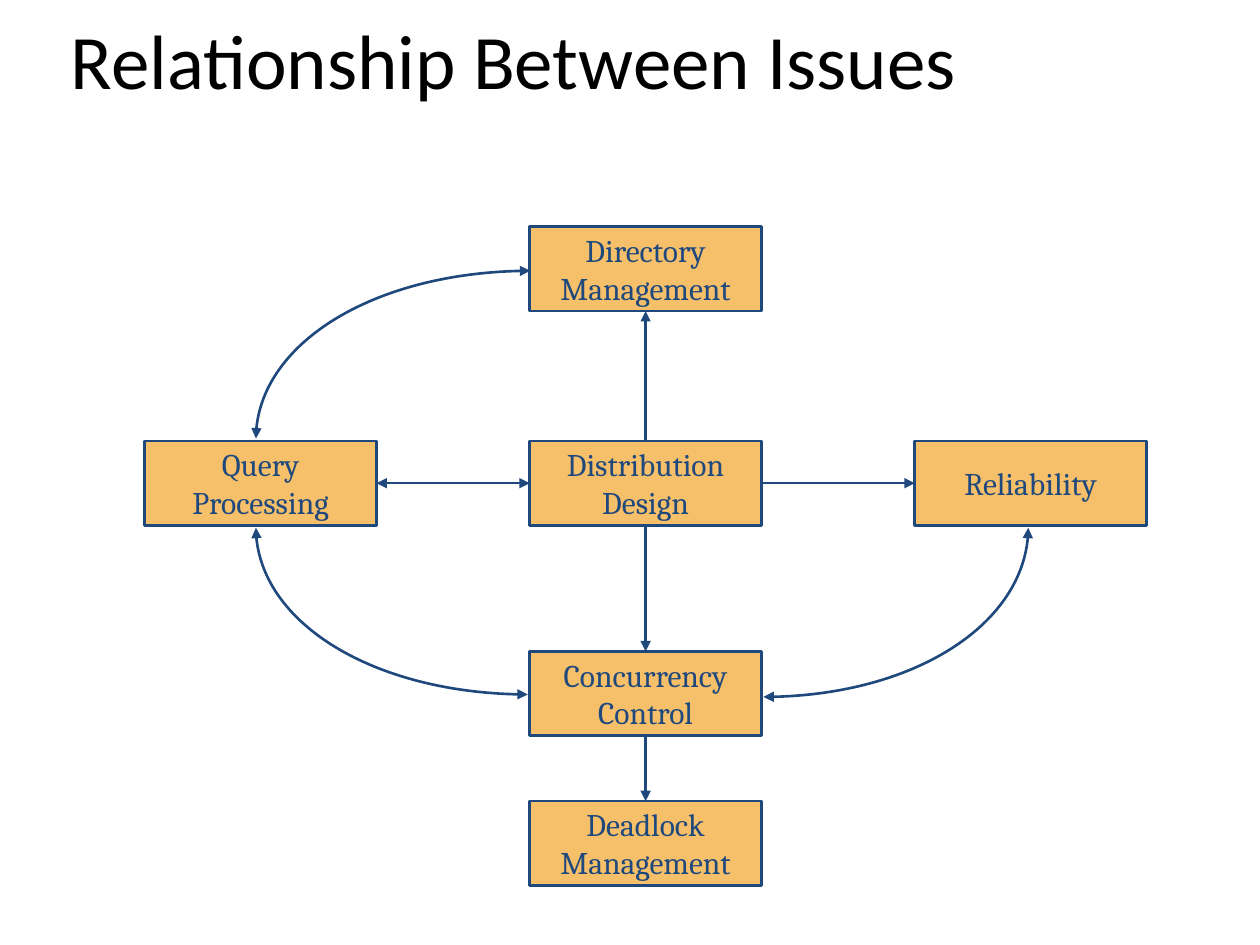
from lxml.etree import SubElement
from pptx import Presentation
from pptx.dml.color import RGBColor
from pptx.enum.shapes import MSO_CONNECTOR, MSO_SHAPE
from pptx.enum.text import MSO_ANCHOR, PP_ALIGN
from pptx.oxml.ns import qn
from pptx.util import Cm, Pt

TOP, LEFT, BOTTOM, RIGHT = range(4)
COLS = [2.92 + 7.76 * i for i in range(3)]
ROWS = [4.57, 8.89, 13.13, 16.15]


def paint(hue):
    return RGBColor.from_string(hue)


class Chart:
    ink, fill, font = "1F497D", "F6BF69", "Cambria"
    wide, high = 4.67, 1.7
    bend = 0.55  # control point share for a quarter ellipse

    def __init__(self, slide):
        self.shapes = slide.shapes

    def label(self, frame, text, font, size, hue):
        frame.text = text
        frame.word_wrap = False
        for par in frame.paragraphs:
            par.alignment = PP_ALIGN.CENTER
            par.font.name = font
            par.font.size = Pt(size)
            par.font.color.rgb = paint(hue)

    def title(self, text):
        box = self.shapes.add_textbox(Cm(0.53), Cm(0.3), Cm(19.66), Cm(1.63))
        frame = box.text_frame
        self.label(frame, text, "Calibri", 44, "000000")
        frame.margin_top = Cm(0.2)
        frame.paragraphs[0].line_spacing = 0.87

    def box(self, text, col, row):
        box = self.shapes.add_shape(
            MSO_SHAPE.RECTANGLE, Cm(COLS[col]), Cm(ROWS[row]),
            Cm(self.wide), Cm(self.high))
        box.shadow.inherit = False
        box.fill.solid()
        box.fill.fore_color.rgb = paint(self.fill)
        self.stroke(box)
        box.text_frame.vertical_anchor = MSO_ANCHOR.MIDDLE
        self.label(box.text_frame, text, self.font, 18, self.ink)
        return box

    def stroke(self, shape, *ends):
        """Style an outline; ends may name headEnd, then tailEnd."""
        shape.line.color.rgb = paint(self.ink)
        shape.line.width = Pt(1.5)
        line = shape._element.spPr.find(qn("a:ln"))
        for end in ends:
            SubElement(line, qn("a:" + end), type="triangle")

    def arrow(self, start, side, goal, both=False):
        """Join a side of one box to the facing side of another."""
        link = self.shapes.add_connector(MSO_CONNECTOR.STRAIGHT, 0, 0, 0, 0)
        link.begin_connect(start, side)
        link.end_connect(goal, (side + 2) % 4)
        ends = ["headEnd", "tailEnd"] if both else ["tailEnd"]
        self.stroke(link, *ends)
        SubElement(link._element.spPr, qn("a:effectLst"))

    def curve(self, foot, tip):
        """Draw a quarter ellipse, upright at foot and level at tip."""
        x, y = map(Cm, foot)
        pen = self.shapes.build_freeform(x, y)
        pen.add_line_segments([tuple(map(Cm, tip))], close=False)
        arc = pen.convert_to_shape()
        arc.shadow.inherit = False
        arc.fill.background()
        self.stroke(arc, "headEnd", "tailEnd")

        seg = next(arc._element.iter(qn("a:lnTo")))
        first, last = arc._element.iter(qn("a:pt"))
        x0, y0, x1, y1 = (int(p.get(k)) for p in (first, last) for k in "xy")
        seg.tag = qn("a:cubicBezTo")
        knots = [(x0, y0 + self.bend * (y1 - y0)),
                 (x1 - self.bend * (x1 - x0), y1)]
        for px, py in knots:
            knot = SubElement(seg, qn("a:pt"), x=str(round(px)), y=str(round(py)))
            last.addprevious(knot)


def main():
    deck = Presentation()
    deck.slide_width, deck.slide_height = Cm(25.4), Cm(19.05)
    chart = Chart(deck.slides.add_slide(deck.slide_layouts[6]))
    chart.title("Relationship Between Issues")

    folder = chart.box("Directory\nManagement", 1, 0)
    query = chart.box("Query\nProcessing", 0, 1)
    design = chart.box("Distribution\nDesign", 1, 1)
    trust = chart.box("Reliability", 2, 1)
    control = chart.box("Concurrency\nControl", 1, 2)
    deadlock = chart.box("Deadlock\nManagement", 1, 3)

    chart.arrow(design, TOP, folder)
    chart.arrow(design, BOTTOM, control)
    chart.arrow(control, BOTTOM, deadlock)
    chart.arrow(design, RIGHT, trust)
    chart.arrow(design, LEFT, query, both=True)

    chart.curve((5.16, 8.84), (10.69, 5.46))
    chart.curve((5.16, 10.64), (10.64, 14))
    chart.curve((20.73, 10.64), (15.39, 14.05))
    deck.save("out.pptx")


if __name__ == "__main__":
    main()
